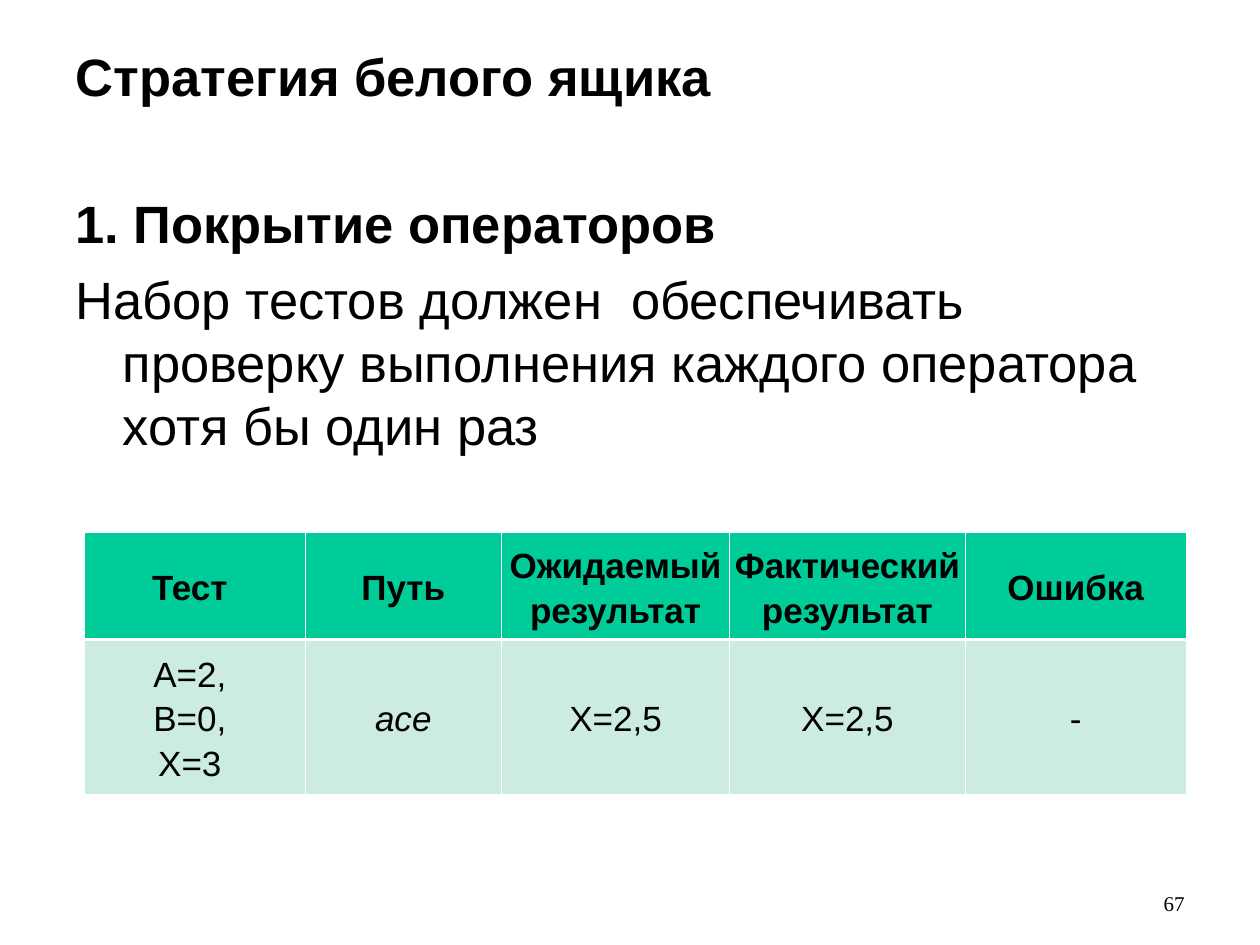
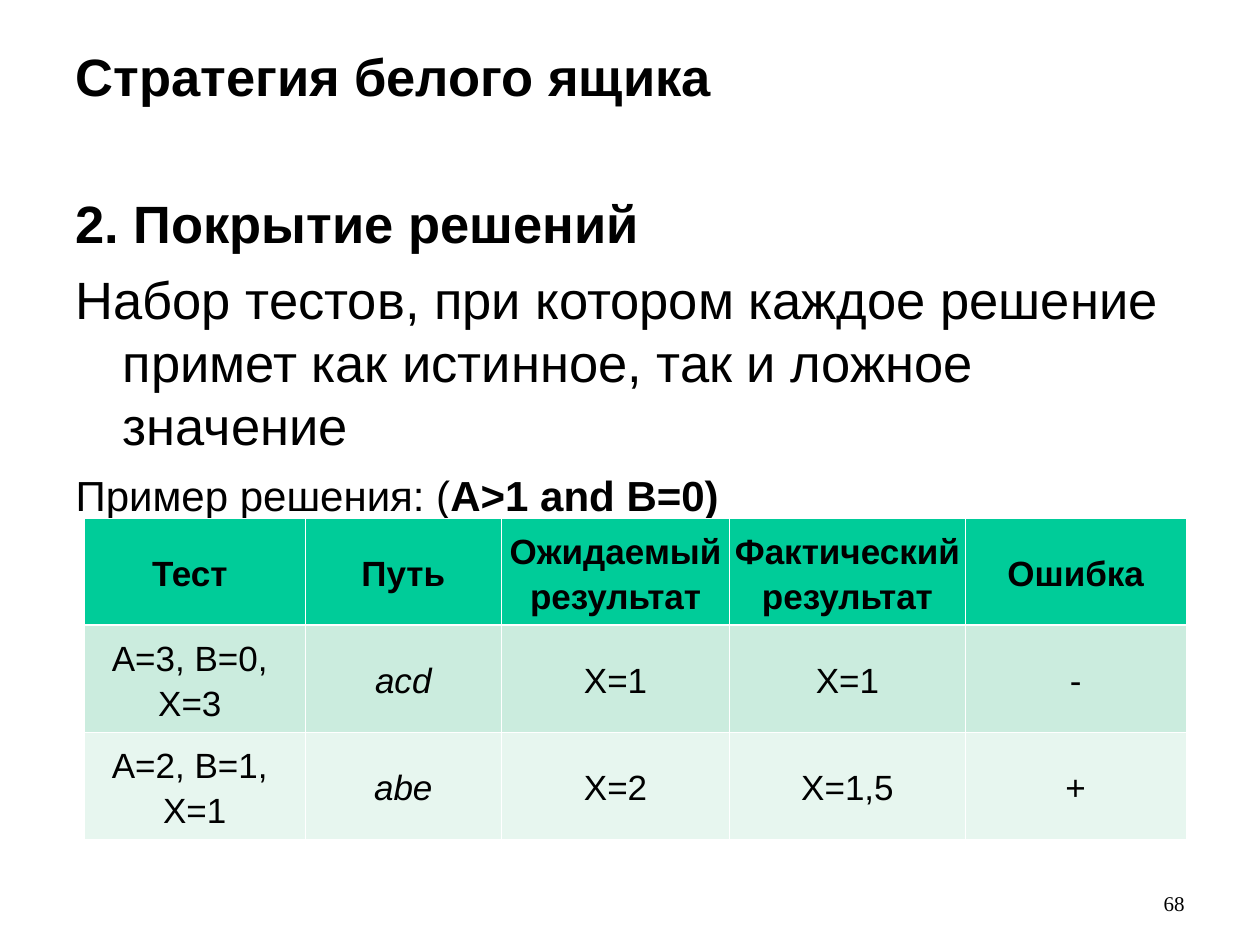
from dataclasses import dataclass

from lxml import etree
from pptx import Presentation
from pptx.dml.color import RGBColor
from pptx.enum import text
from pptx.oxml import ns
from pptx.util import Cm, Pt


@dataclass(frozen=True)
class Theme:
    ink: str = "000000"
    rule: str = "FFFFFF"
    header: str = "00CC99"
    bands: tuple = ("CBECDE", "E7F6EF")
    font: str = "Arial"
    number_font: str = "Times New Roman"
    heading_size: int = 30
    example_size: int = 24
    table_size: int = 20
    number_size: int = 12
    thin: float = 0.45
    thick: float = 1.47


THEME = Theme()
HEADING = "Стратегия белого ящика"
COLUMNS = ("Тест ", "Путь", "Ожидаемый результат", "Фактический результат", "Ошибка")
COLUMN_WIDTHS = (4.45, 3.96, 4.6, 4.75, 4.45)
PATH_COLUMN = COLUMNS.index("Путь")
HEADER_HEIGHT = 2.16

# Boxes in cm: left, top, width, height
TITLE_BOX = (1.27, 0.76, 22.86, 2.16)
BODY_BOX = (1.27, 3.73, 22.86, 13.31)
NUMBER_BOX = (18.21, 17.35, 5.92, 1.24)
TABLE_LEFT = 1.7


def place(shape, box):
    shape.left, shape.top, shape.width, shape.height = map(Cm, box)


def add_run(paragraph, wording, size, bold=False, italic=False, font=THEME.font):
    run = paragraph.add_run()
    run.text = wording
    run.font.name = font
    run.font.size = Pt(size)
    run.font.bold = bold
    run.font.italic = italic
    run.font.color.rgb = RGBColor.from_string(THEME.ink)


def paragraphs(frame, count):
    """Yield the first paragraph of the frame, then new ones up to count."""
    yield frame.paragraphs[0]
    for _ in range(count - 1):
        yield frame.add_paragraph()


def prepare_frame(shape, anchor):
    frame = shape.text_frame
    frame.word_wrap = True
    frame.auto_size = text.MSO_AUTO_SIZE.NONE
    frame.vertical_anchor = anchor
    return frame


def add_title(slide, box):
    title = slide.shapes.title
    place(title, box)
    heading = prepare_frame(title, text.MSO_ANCHOR.TOP).paragraphs[0]
    heading.alignment = text.PP_ALIGN.LEFT
    add_run(heading, HEADING, THEME.heading_size, bold=True)


def add_body(slide, box, lines):
    """Fill the body with lines, each a list of (wording, size, bold)."""
    body = slide.placeholders[1]
    place(body, box)
    frame = prepare_frame(body, text.MSO_ANCHOR.TOP)
    for index, (line, runs) in enumerate(zip(paragraphs(frame, len(lines)), lines)):
        properties = line._p.get_or_add_pPr()
        properties.set("marL", str(Cm(0.95)))
        properties.set("indent", str(-Cm(0.95)))
        etree.SubElement(properties, ns.qn("a:buNone"))
        line.space_before = Pt(7.5 if index else 0)
        for wording, size, bold in runs:
            add_run(line, wording, size, bold)


def add_page_number(slide, box, number):
    frame = prepare_frame(slide.shapes.add_textbox(*map(Cm, box)), text.MSO_ANCHOR.BOTTOM)
    line = frame.paragraphs[0]
    line.alignment = text.PP_ALIGN.RIGHT
    add_run(line, str(number), THEME.number_size, font=THEME.number_font)


def set_borders(cell, top, bottom):
    widths = {"lnL": THEME.thin, "lnR": THEME.thin, "lnT": top, "lnB": bottom}
    for side, width in widths.items():
        border = etree.SubElement(cell._tc.get_or_add_tcPr(), ns.qn(f"a:{side}"), w=str(Pt(width)))
        fill = etree.SubElement(border, ns.qn("a:solidFill"))
        etree.SubElement(fill, ns.qn("a:srgbClr"), val=THEME.rule)


def fill_cell(cell, wording, row, column):
    cell.margin_left = cell.margin_right = Cm(0.1)
    cell.margin_top = cell.margin_bottom = Cm(0.13)
    cell.vertical_anchor = text.MSO_ANCHOR.MIDDLE
    set_borders(cell,
                top=THEME.thick if row == 1 else THEME.thin,
                bottom=THEME.thick if row == 0 else THEME.thin)
    color = THEME.bands[(row - 1) % 2] if row else THEME.header
    cell.fill.solid()
    cell.fill.fore_color.rgb = RGBColor.from_string(color)
    lines = wording.split("\n")
    for line, part in zip(paragraphs(cell.text_frame, len(lines)), lines):
        line.alignment = text.PP_ALIGN.CENTER
        line.line_spacing = 1.15
        add_run(line, part, THEME.table_size, bold=row == 0,
                italic=row > 0 and column == PATH_COLUMN)


def add_test_table(slide, left, top, row_height, tests):
    rows = (COLUMNS, *tests)
    heights = [HEADER_HEIGHT] + [row_height] * len(tests)
    box = (left, top, sum(COLUMN_WIDTHS), sum(heights))
    table = slide.shapes.add_table(len(rows), len(COLUMNS), *map(Cm, box)).table
    table.first_row = table.horz_banding = False
    for column, width in zip(table.columns, COLUMN_WIDTHS):
        column.width = Cm(width)
    for row, (values, height) in enumerate(zip(rows, heights)):
        table.rows[row].height = Cm(height)
        for column, wording in enumerate(values):
            fill_cell(table.cell(row, column), wording, row, column)


def add_criterion_slide(deck, number, lines, table_top, row_height, tests):
    slide = deck.slides.add_slide(deck.slide_layouts[1])
    add_title(slide, TITLE_BOX)
    add_body(slide, BODY_BOX, lines)
    add_page_number(slide, NUMBER_BOX, number)
    add_test_table(slide, TABLE_LEFT, table_top, row_height, tests)


def main():
    deck = Presentation()
    deck.slide_width, deck.slide_height = Cm(25.4), Cm(19.05)
    large, small = THEME.heading_size, THEME.example_size
    add_criterion_slide(
        deck, 67,
        lines=[
            [("1. Покрытие операторов", large, True)],
            [("Набор тестов должен  обеспечивать проверку выполнения "
              "каждого оператора хотя бы один раз", large, False)],
        ],
        table_top=10.73, row_height=3.12,
        tests=[("A=2, \nB=0, \nX=3 ", "асе", "X=2,5", "X=2,5", "-")],
    )
    add_criterion_slide(
        deck, 68,
        lines=[
            [("2. Покрытие решений", large, True)],
            [("Набор тестов, при котором каждое решение примет "
              "как истинное, так и ложное значение", large, False)],
            [("Пример решения: (", small, False), ("A>1 and B=0)", small, True)],
        ],
        table_top=10.44, row_height=HEADER_HEIGHT,
        tests=[
            ("A=3, B=0, \nX=3 ", "aсd", "X=1", "X=1", "-"),
            ("А=2, В=1, \nХ=1", "abe", "Х=2", "Х=1,5", "+"),
        ],
    )
    deck.save("out.pptx")


if __name__ == "__main__":
    main()
